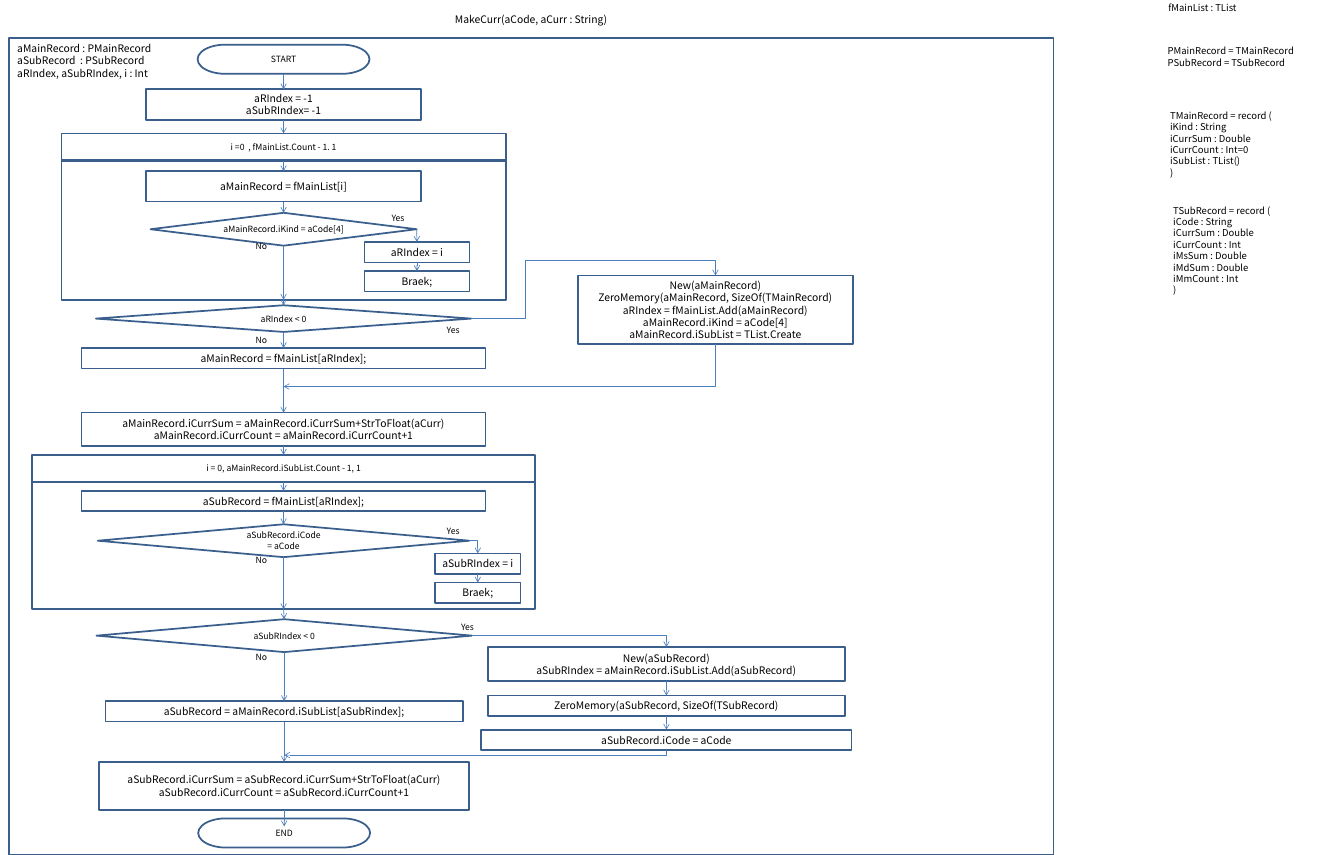
from pptx import Presentation, util as u
from pptx.dml.color import RGBColor
from pptx.enum import dml, shapes, text
from pptx.oxml import parse_xml
from pptx.oxml.ns import nsdecls, qn

FONT = "Noto Sans CJK KR"
COLORS = {"outline": "3A5F8C", "arrow": "4B7EBC", "ink": "000000"}
WIDTH, HEIGHT = 21.66, 13.78
MAIN, LOW, BREAK, SUB_BREAK, NEW, SUB_NEW = 4.57, 4.58, 6.72, 7.7, 11.53, 10.74
TOP, LEFT, BOTTOM, RIGHT = range(4)
BOX = shapes.MSO_SHAPE.RECTANGLE
TEST = shapes.MSO_SHAPE.FLOWCHART_DECISION
END = shapes.MSO_SHAPE.FLOWCHART_TERMINATOR

# name: (form, centre, top, width, height, size, lines)
NODES = {
    "frame": (BOX, 8.56, 0.61, 16.84, 13.17, 12, []),
    "start": (END, MAIN, 0.72, 2.77, 0.47, 10, ["START"]),
    "init": (BOX, MAIN, 1.44, 4.44, 0.49, 12, ["aRIndex = -1", "aSubRIndex= -1"]),
    "loop": (BOX, MAIN, 2.15, 7.16, 0.44, 10, ["i =0  , fMainList.Count - 1. 1"]),
    "body": (BOX, MAIN, 2.58, 7.16, 2.25, 12, []),
    "item": (BOX, MAIN, 2.76, 4.44, 0.49, 12, ["aMainRecord = fMainList[i]"]),
    "kind": (TEST, MAIN, 3.43, 4.29, 0.53, 10, ["aMainRecord.iKind = aCode[4]"]),
    "found": (BOX, BREAK, 3.9, 1.69, 0.33, 12, ["aRIndex = i"]),
    "break": (BOX, BREAK, 4.37, 1.69, 0.33, 12, ["Braek;"]),
    "missing": (TEST, MAIN, 4.92, 6.05, 0.43, 10, ["aRIndex < 0"]),
    "new": (BOX, NEW, 4.44, 4.44, 1.11, 12, [
        "New(aMainRecord)", "ZeroMemory(aMainRecord, SizeOf(TMainRecord)",
        "aRIndex = fMainList.Add(aMainRecord)", "aMainRecord.iKind = aCode[4]",
        "aMainRecord.iSubList = TList.Create"]),
    "get": (BOX, MAIN, 5.61, 6.51, 0.33, 12, ["aMainRecord = fMainList[aRIndex];"]),
    "sum": (BOX, MAIN, 6.65, 6.51, 0.54, 12, [
        "aMainRecord.iCurrSum = aMainRecord.iCurrSum+StrToFloat(aCurr)",
        "aMainRecord.iCurrCount = aMainRecord.iCurrCount+1"]),
    "sub_loop": (BOX, MAIN, 7.33, 8.11, 0.44, 10, ["i = 0, aMainRecord.iSubList.Count - 1, 1"]),
    "sub_body": (BOX, MAIN, 7.77, 8.11, 2.05, 12, []),
    "sub_item": (BOX, MAIN, 7.91, 6.51, 0.33, 12, ["aSubRecord = fMainList[aRIndex];"]),
    "sub_code": (TEST, MAIN, 8.45, 5.99, 0.53, 10, ["aSubRecord.iCode", "= aCode"]),
    "sub_found": (BOX, SUB_BREAK, 8.92, 1.38, 0.33, 12, ["aSubRIndex = i"]),
    "sub_break": (BOX, SUB_BREAK, 9.39, 1.38, 0.33, 12, ["Braek;"]),
    "sub_missing": (TEST, LOW, 9.98, 6.05, 0.53, 10, ["aSubRIndex < 0"]),
    "sub_new": (BOX, SUB_NEW, 10.43, 5.76, 0.55, 12, [
        "New(aSubRecord)", "aSubRIndex = aMainRecord.iSubList.Add(aSubRecord)"]),
    "sub_zero": (BOX, SUB_NEW, 11.21, 5.76, 0.33, 12, ["ZeroMemory(aSubRecord, SizeOf(TSubRecord)"]),
    "sub_set": (BOX, SUB_NEW, 11.76, 5.97, 0.33, 12, ["aSubRecord.iCode = aCode"]),
    "sub_get": (BOX, LOW, 11.3, 5.76, 0.33, 12, ["aSubRecord = aMainRecord.iSubList[aSubRindex];"]),
    "sub_sum": (BOX, LOW, 12.28, 5.97, 0.77, 12, [
        "aSubRecord.iCurrSum = aSubRecord.iCurrSum+StrToFloat(aCurr)",
        "aSubRecord.iCurrCount = aSubRecord.iCurrCount+1"]),
    "end": (END, LOW, 13.19, 2.77, 0.47, 10, ["END"]),
}
FLOWS = [
    ["start", "init", "loop", "item", "kind"], ["found", "break"],
    ["body", "missing", "get", "sum", "sub_loop", "sub_item", "sub_code"],
    ["sub_found", "sub_break"],
    ["sub_body", "sub_missing", "sub_get", "sub_sum"],
    ["sub_new", "sub_zero", "sub_set"],
]
LOOP_ENDS = [("kind", "body"), ("sub_code", "sub_body")]
BRANCHES = [("sub_code", "sub_found"), ("sub_missing", "sub_new")]
MERGES = [("new", NEW, 5.55, MAIN, 6.23), ("sub_set", SUB_NEW, 12.09, LOW, 12.17)]
YES = [(6.31, 3.43), (7.2, 5.24), (7.2, 8.47), (7.43, 10.03)]
NO = [(4.12, y) for y in (3.89, 5.39, 8.94, 10.51)]
NOTES = [
    (0.18, 0.63, 3.16, 0.71, 12, [
        "aMainRecord : PMainRecord", "aSubRecord  : PSubRecord", "aRIndex, aSubRIndex, i : Int"]),
    (18.73, -0.01, 2.67, 0.29, 11, ["fMainList : TList"]),
    (18.72, 0.68, 2.27, 0.47, 11, ["PMainRecord = TMainRecord", "PSubRecord = TSubRecord"]),
    (18.76, 1.72, 2.33, 1.21, 11, [
        "TMainRecord = record (", "iKind : String", "iCurrSum : Double",
        "iCurrCount : Int=0", "iSubList : TList()", ")"]),
    (18.81, 3.25, 2.33, 1.58, 11, [
        "TSubRecord = record (", "iCode : String", "iCurrSum : Double", "iCurrCount : Int",
        "iMsSum : Double", "iMdSum : Double", "iMmCount : Int", ")"]),
]


def write(sp, lines, size=12, align=text.PP_ALIGN.LEFT, anchor=text.MSO_ANCHOR.TOP, inset=(0, 0)):
    """Fill a shape with one paragraph per line."""
    tf = sp.text_frame
    tf.word_wrap, tf.vertical_anchor = True, anchor
    tf.margin_left = tf.margin_right = u.Inches(inset[0])
    tf.margin_top = tf.margin_bottom = u.Inches(inset[1])
    for i, line in enumerate(lines):
        p = tf.paragraphs[0] if i == 0 else tf.add_paragraph()
        p.alignment = align
        r = p.add_run()
        r.text = line
        r.font.name, r.font.size = FONT, u.Pt(size)
        r.font.color.rgb = RGBColor.from_string(COLORS["ink"])


def box(x, y, w, h):
    """Add an empty text box."""
    return s.shapes.add_textbox(*map(u.Inches, (x, y, w, h)))


def node(form, cx, y, w, h, size, lines):
    """Add a flowchart step centred on its column."""
    sp = s.shapes.add_shape(form, *map(u.Inches, (cx - w / 2, y, w, h)))
    sp.shadow.inherit = False
    sp.fill.background()
    sp.line.color.rgb = RGBColor.from_string(COLORS["outline"])
    sp.line.width = u.Pt(2)
    if lines:
        write(sp, lines, size, **CENTRED)
    return sp


def arrow(start=None, end=None, points=(0, 0, 0, 0), form="line", adjust=()):
    """Add an arrow between two (step, side) pairs or between free points."""
    kind = shapes.MSO_CONNECTOR.STRAIGHT if form == "line" else shapes.MSO_CONNECTOR.ELBOW
    c = s.shapes.add_connector(kind, *map(u.Inches, points))
    if start:
        c.begin_connect(steps[start[0]], start[1])
    if end:
        c.end_connect(steps[end[0]], end[1])
    c.line.color.rgb = RGBColor.from_string(COLORS["arrow"])
    c.line.width = u.Pt(0.75)
    c.line._get_or_add_ln().append(parse_xml(f'<a:tailEnd {nsdecls("a")} type="arrow"/>'))
    pr = c._element.spPr
    pr.append(parse_xml(f'<a:effectLst {nsdecls("a")}/>'))
    geom = pr.find(qn("a:prstGeom"))
    geom.set("prst", form)
    for i, share in enumerate(adjust, 1):
        geom.get_or_add_avLst().append(parse_xml(
            f'<a:gd {nsdecls("a")} name="adj{i}" fmla="val {round(share * 100000)}"/>'))
    return c


CENTRED = {"align": text.PP_ALIGN.CENTER, "anchor": text.MSO_ANCHOR.MIDDLE}
prs = Presentation()
prs.slide_width, prs.slide_height = u.Inches(WIDTH), u.Inches(HEIGHT)
s = prs.slides.add_slide(prs.slide_layouts[6])

write(box(0.14, 0.06, 16.84, 0.5), ["MakeCurr(aCode, aCurr : String)"], **CENTRED)
steps = {name: node(*spec) for name, spec in NODES.items()}
for flow in FLOWS:
    for a, b in zip(flow, flow[1:]):
        arrow((a, BOTTOM), (b, TOP))
for a, b in LOOP_ENDS:
    arrow((a, BOTTOM), (b, BOTTOM))
for a, b in BRANCHES:
    arrow((a, RIGHT), (b, TOP), form="bentConnector2")
arrow(("kind", RIGHT), ("found", TOP))
arrow(("missing", RIGHT), ("new", TOP), form="bentConnector4", adjust=(0.22, 1.36))
arrow(("sub_sum", BOTTOM), points=(LOW, 13.05, LOW, 13.32))
for name, x1, y1, x2, y2 in MERGES:
    run, drop = x1 - x2, y2 - y1
    c = arrow(form="bentConnector2")
    c.left, c.top = u.Inches((x1 + x2 - drop) / 2), u.Inches((y1 + y2 - run) / 2)
    c.width, c.height = u.Inches(drop), u.Inches(run)
    c._element.spPr.xfrm.set("rot", str(90 * 60000))
for word, spots in (("Yes", YES), ("No", NO)):
    for x, y in spots:
        write(box(x, y, 0.4, 0.17), [word], 10)
for *place, size, lines in NOTES:
    write(box(*place), lines, size, inset=(0.1, 0.05))

prs.save("out.pptx")
